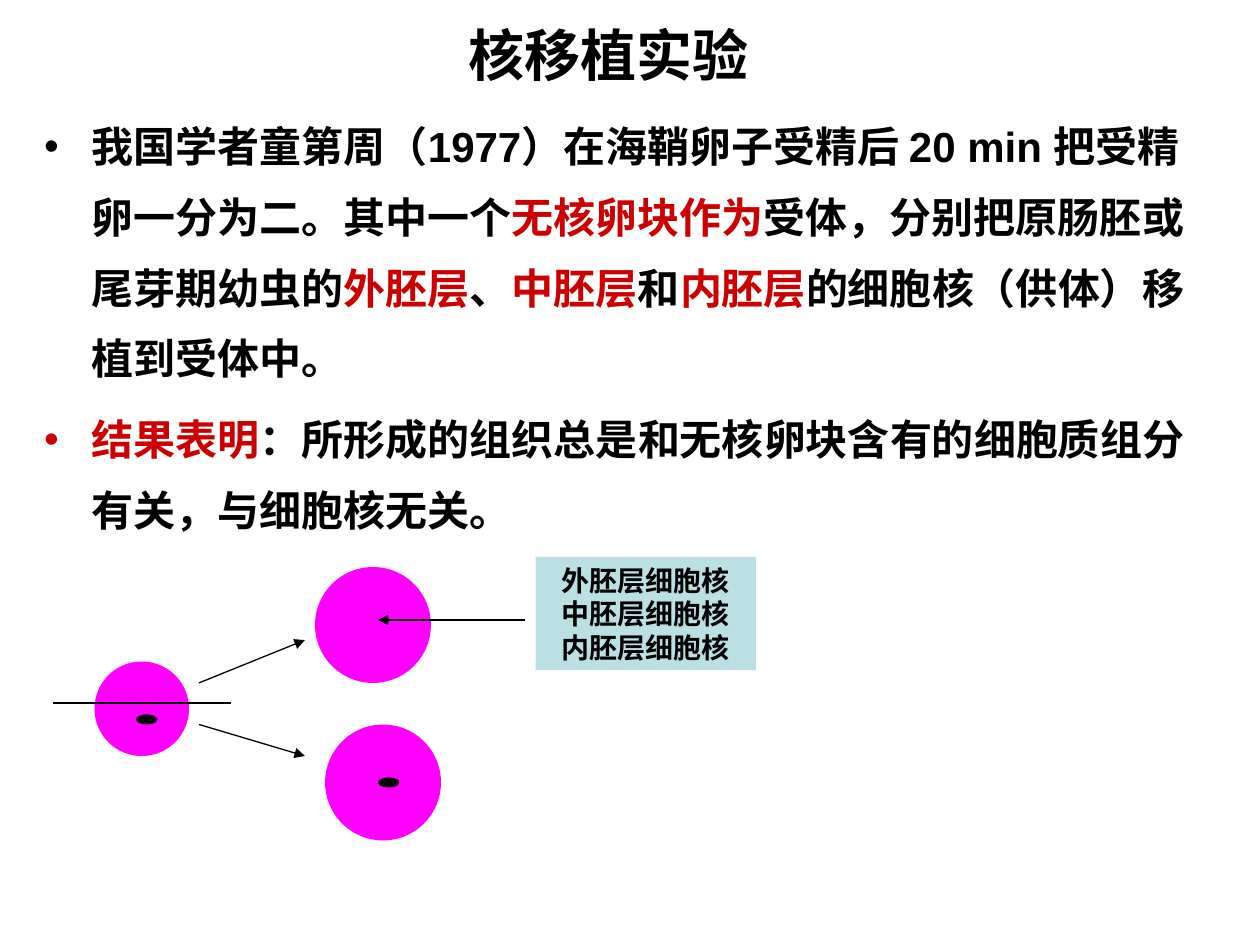
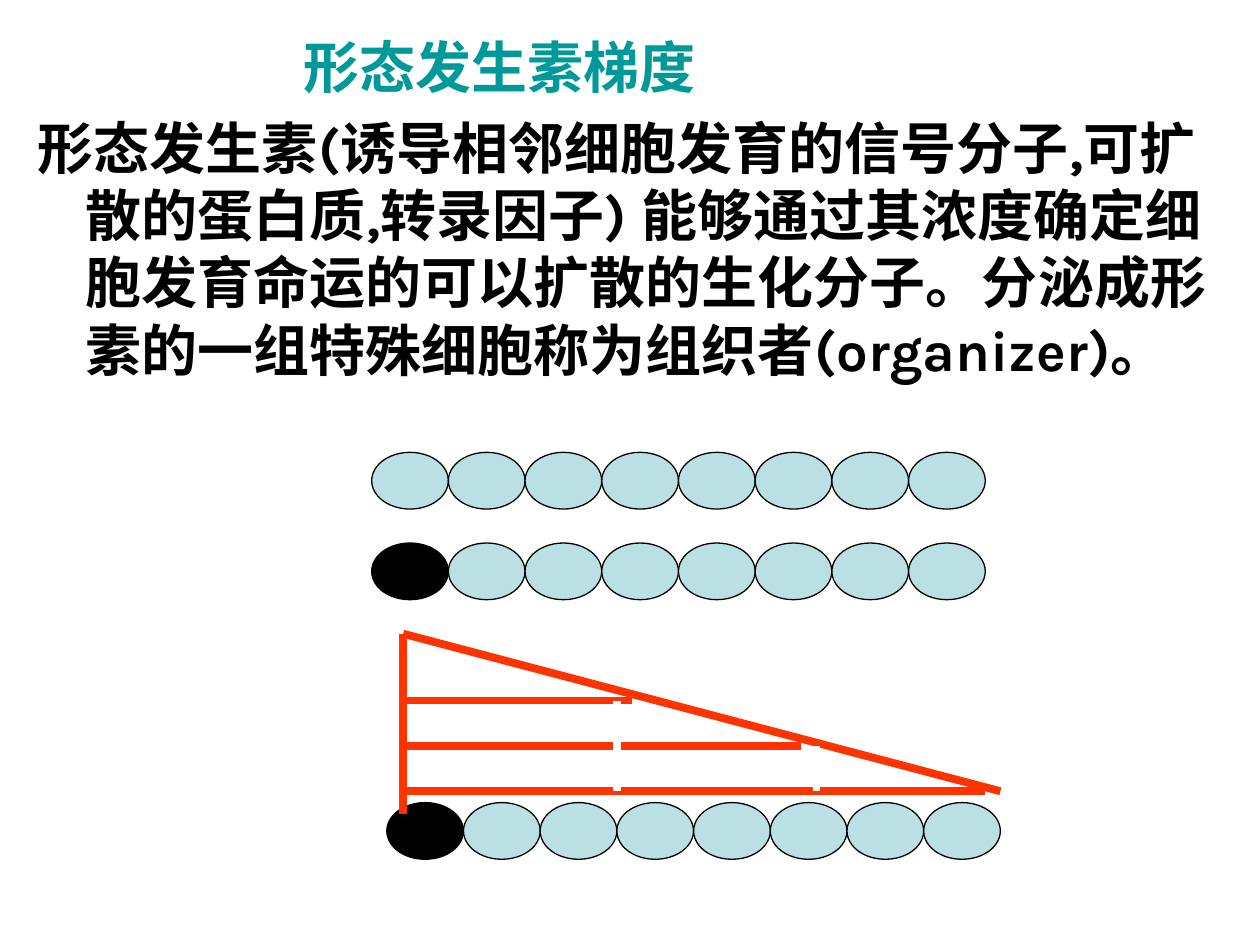
from lxml.etree import SubElement
from pptx import Presentation
from pptx.dml.color import RGBColor
from pptx.enum.lang import MSO_LANGUAGE_ID
from pptx.enum.shapes import MSO_CONNECTOR, MSO_SHAPE
from pptx.enum.text import MSO_ANCHOR, MSO_AUTO_SIZE, PP_ALIGN
from pptx.oxml.ns import qn
from pptx.util import Inches, Pt

BLACK, WHITE = "000000", "FFFFFF"
RED, TEAL = "CC0000", "009999"
MAGENTA, PALE_BLUE, ORANGE = "FF00FF", "BBE0E3", "FF3300"
CELLS_PER_ROW = 8
CELL_WIDTH, CELL_HEIGHT = 4.87 / CELLS_PER_ROW, 0.45


def color(hex_string):
    """Turn a hex string into a colour."""
    return RGBColor.from_string(hex_string)


def style(paragraph, size, face, hex_string=BLACK):
    """Set the bold font that a whole paragraph shares."""
    font = paragraph.font
    font.size, font.name, font.bold = Pt(size), face, True
    font.color.rgb = color(hex_string)
    font.language_id = MSO_LANGUAGE_ID.SIMPLIFIED_CHINESE


def place(placeholder, left, top, width, height, anchor=MSO_ANCHOR.TOP):
    """Move a placeholder and return its text frame."""
    placeholder.left, placeholder.top = Inches(left), Inches(top)
    placeholder.width, placeholder.height = Inches(width), Inches(height)
    frame = placeholder.text_frame
    frame.auto_size = MSO_AUTO_SIZE.NONE
    frame.vertical_anchor = anchor
    return frame


def add_title(slide, text, box, face, hex_string, align, anchor):
    """Fill the title placeholder."""
    frame = place(slide.shapes.title, *box, anchor)
    frame.text = text
    heading = frame.paragraphs[0]
    heading.alignment = align
    style(heading, 32, face, hex_string)


def add_body(slide, box, paragraphs, size, face, line_spacing, bulleted):
    """Fill the body placeholder with paragraphs of (text, colour) runs."""
    frame = place(slide.placeholders[1], *box)
    for index, runs in enumerate(paragraphs):
        paragraph = frame.add_paragraph() if index else frame.paragraphs[0]
        properties = paragraph._p.get_or_add_pPr()
        properties.set("marL", str(Inches(0.38)))
        properties.set("indent", str(Inches(-0.38)))
        if bulleted:
            bullet_color = SubElement(properties, qn("a:buClr"))
            SubElement(bullet_color, qn("a:srgbClr"), val=runs[0][1])
            SubElement(properties, qn("a:buChar"), char="•")
        else:
            SubElement(properties, qn("a:buNone"))
        style(paragraph, size, face)
        paragraph.line_spacing = line_spacing
        paragraph.space_before = Pt(6 if index else 0)
        for text, hex_string in runs:
            run = paragraph.add_run()
            run.text = text
            if hex_string != BLACK:
                run.font.color.rgb = color(hex_string)


def add_filled(slide, preset, left, top, width, height, fill, outline=None):
    """Add a flat preset shape, outlined only if a colour is given."""
    shape = slide.shapes.add_shape(
        preset, Inches(left), Inches(top), Inches(width), Inches(height))
    shape.shadow.inherit = False
    shape.fill.solid()
    shape.fill.fore_color.rgb = color(fill)
    if outline:
        shape.line.color.rgb = color(outline)
        shape.line.width = Pt(0.75)
    else:
        shape.line.fill.background()
    return shape


def add_line(slide, start, end, hex_string=BLACK, weight=0.75, arrow=False):
    """Draw a straight line, with an arrowhead at its end if asked."""
    connector = slide.shapes.add_connector(
        MSO_CONNECTOR.STRAIGHT, *map(Inches, start + end))
    connector.line.color.rgb = color(hex_string)
    connector.line.width = Pt(weight)
    if arrow:
        SubElement(connector.line._get_or_add_ln(), qn("a:tailEnd"), type="triangle")
    SubElement(connector._element.spPr, qn("a:effectLst"))


def add_callout(slide, lines, box):
    """Add the pale box that lists the donor nuclei."""
    frame = add_filled(slide, MSO_SHAPE.RECTANGLE, *box, PALE_BLUE).text_frame
    frame.vertical_anchor = MSO_ANCHOR.TOP
    frame.text = "\n".join(lines)
    for paragraph in frame.paragraphs:
        paragraph.alignment = PP_ALIGN.CENTER
        style(paragraph, 16, "Times New Roman")


def add_cell_row(slide, left, top, has_organizer):
    """Lay out a row of touching cells, the first black if an organizer."""
    for index in range(CELLS_PER_ROW):
        fill = BLACK if has_organizer and index == 0 else PALE_BLUE
        add_filled(slide, MSO_SHAPE.OVAL, left + index * CELL_WIDTH, top,
                   CELL_WIDTH, CELL_HEIGHT, fill, BLACK)


def build_transplant(slide):
    """Build the slide on nuclear transplantation."""
    add_title(slide, "核移植实验", (0.33, 0.08, 9, 0.7), "Arial", BLACK,
              PP_ALIGN.CENTER, MSO_ANCHOR.MIDDLE)
    experiment = [
        ("我国学者童第周（1977）在海鞘卵子受精后 20 min 把受精卵一分为二。其中一个", BLACK),
        ("无核卵块作为", RED),
        ("受体，分别把原肠胚或尾芽期幼虫的", BLACK),
        ("外胚层", RED), ("、", BLACK), ("中胚层", RED), ("和", BLACK),
        ("内胚层", RED),
        ("的细胞核（供体）移植到受体中。", BLACK),
    ]
    result = [
        ("结果表明", RED),
        ("：所形成的组织总是和无核卵块含有的细胞质组分有关，与细胞核无关。", BLACK),
    ]
    add_body(slide, (0.25, 0.75, 9.5, 3.58), [experiment, result],
             24, "Arial", 1.4, True)

    for left, top, diameter in [(0.75, 5.25, 0.75), (2.5, 4.5, 0.92), (2.58, 5.75, 0.92)]:
        add_filled(slide, MSO_SHAPE.OVAL, left, top, diameter, diameter, MAGENTA)
    for left, top in [(1.08, 5.67), (3, 6.17)]:
        add_filled(slide, MSO_SHAPE.OVAL, left, top, 0.17, 0.08, BLACK)
    add_line(slide, (0.42, 5.58), (1.83, 5.58))
    add_callout(slide, ["外胚层细胞核", "中胚层细胞核", "内胚层细胞核"],
                (4.25, 4.42, 1.75, 0.9))
    for start, end in [((1.58, 5.42), (2.42, 5.08)),
                       ((1.58, 5.75), (2.42, 6)),
                       ((4.17, 4.92), (3, 4.92))]:
        add_line(slide, start, end, arrow=True)


def build_gradient(slide):
    """Build the slide on the morphogen gradient."""
    add_title(slide, "形态发生素梯度", (2.31, 0.21, 5, 0.64), "Karla", TEAL,
              PP_ALIGN.LEFT, MSO_ANCHOR.TOP)
    definition = (
        "形态发生素(诱导相邻细胞发育的信号分子,可扩散的蛋白质,转录因子) "
        "能够通过其浓度确定细胞发育命运的可以扩散的生化分子。"
        "分泌成形素的一组特殊细胞称为组织者(organizer)。")
    add_body(slide, (0.2, 0.85, 9.61, 6.37), [[(definition, BLACK)]],
             32, "Karla", 1.0, False)

    for left, top, has_organizer in [(2.95, 3.59, False), (2.95, 4.31, True),
                                     (3.07, 6.37, True)]:
        add_cell_row(slide, left, top, has_organizer)

    source_x, peak, base = 3.2, 5.03, 6.28
    add_line(slide, (source_x, peak), (source_x, 6.46), ORANGE, 4.5)
    add_line(slide, (source_x, peak), (7.94, base), ORANGE, 4.5)
    for level, reach in [(5.56, 5.02), (5.92, 6.36), (base, 7.82)]:
        add_line(slide, (source_x, level), (reach, level), ORANGE, 4.5)
    for boundary, level in [(4.9, 5.56), (6.48, 5.92)]:
        add_line(slide, (boundary, level), (boundary, base), WHITE, 4.5)


def main():
    """Build and save the presentation."""
    presentation = Presentation()
    presentation.slide_width, presentation.slide_height = Inches(10), Inches(7.5)
    for build in (build_transplant, build_gradient):
        build(presentation.slides.add_slide(presentation.slide_layouts[1]))
    presentation.save("out.pptx")


if __name__ == "__main__":
    main()
